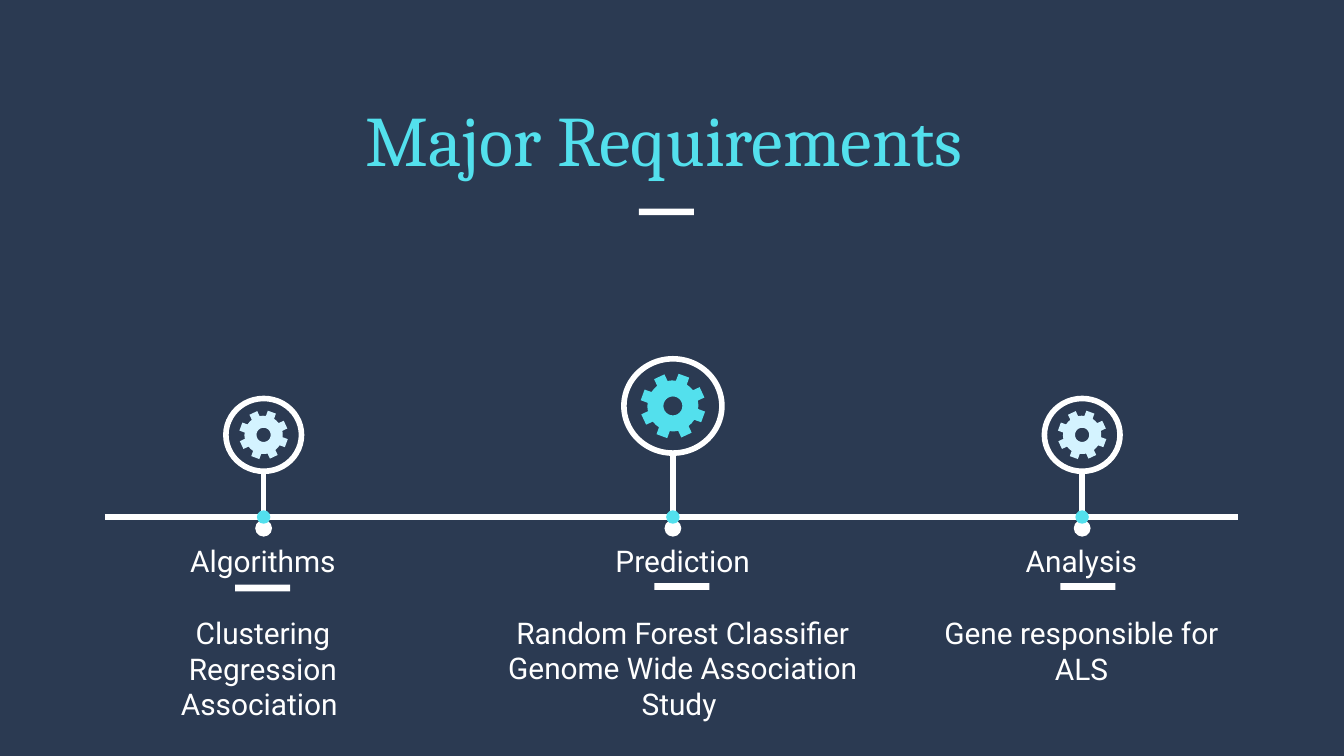
from math import cos, radians, sin

from lxml import etree
from pptx import Presentation
from pptx.dml.color import RGBColor
from pptx.enum.shapes import MSO_CONNECTOR, MSO_SHAPE
from pptx.enum.text import PP_ALIGN
from pptx.oxml.ns import qn
from pptx.util import Pt

WHITE, TEAL, PALE, NAVY = "FFFFFF", "53E0ED", "D4F3FF", "2B3A52"
AXIS_Y = 277


def paint(sp, fill=None, line=None):
    """Set fill and outline from hex strings; None means none."""
    if fill:
        sp.fill.solid()
        sp.fill.fore_color.rgb = RGBColor.from_string(fill)
    elif hasattr(sp, "fill"):
        sp.fill.background()
    if line:
        sp.line.color.rgb = RGBColor.from_string(line)
        sp.line.width = Pt(3)
    else:
        sp.line.fill.background()
    if hasattr(sp, "shadow"):
        sp.shadow.inherit = False
    else:
        etree.SubElement(sp.line._get_or_add_ln().getparent(), qn("a:effectLst"))


def add_text(box, lines, size, font, color):
    """Add centred paragraphs, with a one-line gap after the first."""
    tf = s.shapes.add_textbox(*map(Pt, box)).text_frame
    tf.word_wrap = True
    tf.margin_left = tf.margin_right = tf.margin_top = tf.margin_bottom = Pt(7.2)
    for i, line in enumerate(lines):
        p = tf.add_paragraph() if i else tf.paragraphs[0]
        p.text = line
        p.alignment = PP_ALIGN.CENTER
        p.font.size = Pt(size)
        p.font.name = font
        p.font.color.rgb = RGBColor.from_string(color)
        if i == 1:
            p.space_before = Pt(19)


prs = Presentation()
prs.slide_width, prs.slide_height = Pt(720), Pt(405)
s = prs.slides.add_slide(prs.slide_layouts[6])
s.background.fill.solid()
s.background.fill.fore_color.rgb = RGBColor.from_string(NAVY)

axis = s.shapes.add_connector(
    MSO_CONNECTOR.STRAIGHT, Pt(56.25), Pt(AXIS_Y), Pt(663.25), Pt(AXIS_Y))
paint(axis, line=WHITE)
add_text((49, 44, 613.5, 57), ["Major Requirements"], 38, "Cambria", TEAL)

# text box, lines, ring centre y, ring width and height, gear radius, gear colour
milestones = [
    ((57, 283.75, 167.75, 101.5),
     ["Algorithms", "Clustering", "Regression", "Association "],
     233, 40.5, 39, 13.15, PALE),
    ((262.75, 283.75, 206, 111),
     ["Prediction", "Random Forest Classifier", "Genome Wide Association Study "],
     217.5, 52.5, 50.5, 17.5, TEAL),
    ((495.5, 283.75, 167.75, 90),
     ["Analysis", "Gene responsible for ALS"],
     233, 40.5, 39, 13.15, PALE),
]

# Unit gear as (angle from the top, radius): eight teeth and a round hole
rim = [(20 + 45 * tooth + turn, radius) for tooth in range(8)
       for turn, radius in ((-13, 0.78), (-10, 1), (10, 1), (13, 0.78), (22.5, 0.78))]
hole = [(-15 * i, 0.29) for i in range(24)]

for i, (box, lines, cy, ring_w, ring_h, gear_r, color) in enumerate(milestones):
    cx = 141.25 + 219.25 * i
    add_text(box, lines, 16, "Roboto", WHITE)

    outer, inner = (
        [(Pt(cx + gear_r * k * sin(radians(a))), Pt(cy - gear_r * k * cos(radians(a))))
         for a, k in contour] for contour in (rim, hole))
    builder = s.shapes.build_freeform(*outer[0])
    builder.add_line_segments(outer[1:])
    builder.move_to(*inner[0])
    builder.add_line_segments(inner[1:])
    paint(builder.convert_to_shape(), color)

    stem = s.shapes.add_connector(
        MSO_CONNECTOR.STRAIGHT, Pt(cx), Pt(cy + ring_h / 2), Pt(cx), Pt(283))
    paint(stem, line=WHITE)
    etree.SubElement(stem.line._get_or_add_ln(), qn("a:tailEnd"), type="oval")

    ring = s.shapes.add_shape(
        MSO_SHAPE.OVAL, Pt(cx - ring_w / 2), Pt(cy - ring_h / 2), Pt(ring_w), Pt(ring_h))
    paint(ring, line=WHITE)
    dot = s.shapes.add_shape(
        MSO_SHAPE.OVAL, Pt(cx - 3.6), Pt(AXIS_Y - 3.6), Pt(7.2), Pt(7.2))
    paint(dot, TEAL)

# Short bars under the title and under each heading
for cx, cy in ((357, 113.5), (140.75, 315), (365.25, 314.25), (582.75, 314.25)):
    bar = s.shapes.add_shape(
        MSO_SHAPE.RECTANGLE, Pt(cx - 14.75), Pt(cy - 1.8), Pt(29.5), Pt(3.6))
    paint(bar, WHITE)

prs.save("out.pptx")
